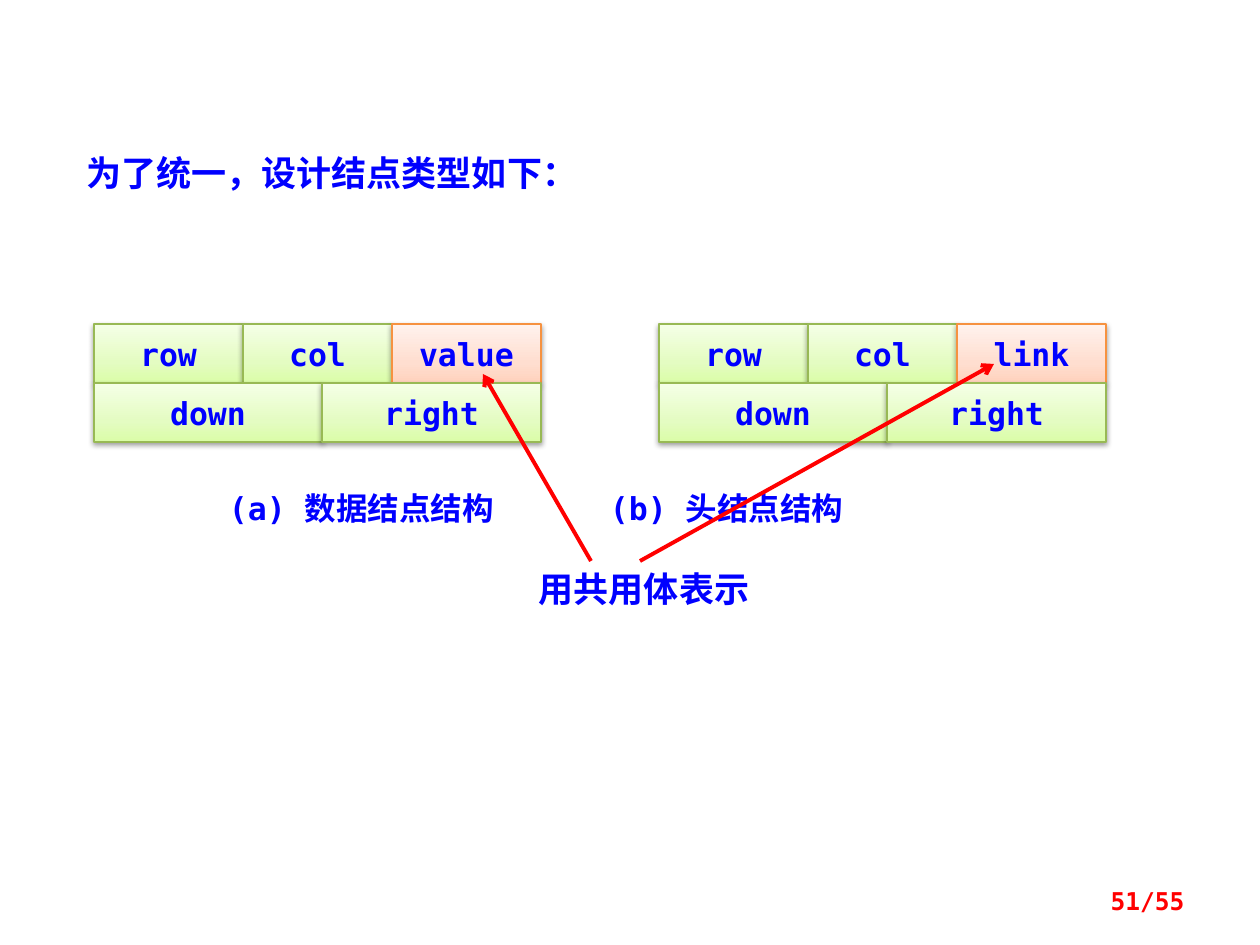
from copy import deepcopy

from lxml.etree import SubElement
from pptx import Presentation
from pptx.dml.color import RGBColor
from pptx.enum.shapes import MSO_CONNECTOR as Connector, MSO_SHAPE as Shape
from pptx.enum.text import MSO_ANCHOR as Anchor, MSO_AUTO_SIZE as AutoSize, PP_ALIGN as Align
from pptx.oxml.ns import qn
from pptx.util import Emu, Pt

BLUE = RGBColor(0x00, 0x00, 0xFF)
RED = RGBColor(0xFF, 0x00, 0x00)
GREEN_LINE = RGBColor(0x98, 0xB9, 0x55)
ORANGE_LINE = RGBColor(0xF6, 0x92, 0x40)
GREENS = [RGBColor(0xDA, 0xFD, 0xA7), RGBColor(0xE4, 0xFC, 0xC2), RGBColor(0xF5, 0xFF, 0xE7)]
ORANGES = [RGBColor(0xFF, 0xD2, 0xBD), RGBColor(0xFF, 0xDE, 0xD0), RGBColor(0xFF, 0xF2, 0xED)]
STOPS = [0, 0.35, 1]
MONO, HAN = "DejaVu Sans Mono", "Noto Sans CJK SC"

HEADING = "为了统一，设计结点类型如下："
CAPTIONS = ["(a) 数据结点结构", "(b) 头结点结构"]
UNION_LABEL = "用共用体表示"
PAGE = "51/55"
NODES = [(94, "value"), (659, "link")]
NODE_TOP, ROW_HEIGHT = 324, 59
ARROWS = [((591, 561), (483, 374)), ((640, 561), (994, 364))]
CAPTION_INSET, CAPTION_TAB = 32, 381


def px(length):
    """Turn pixels into EMU."""
    return Emu(round(length * 914400 / 126))


def style(paragraph, size, latin=MONO, color=BLUE, align=Align.LEFT):
    """Set the bold font and alignment of a paragraph."""
    paragraph.alignment = align
    font = paragraph.font
    font.size, font.bold = Pt(size), True
    font.color.rgb = color
    font.name = latin
    SubElement(paragraph._p.pPr.find(qn("a:defRPr")), qn("a:ea"), typeface=HAN)


def add_text(shapes, box, text):
    """Add a wrapping text box and return its frame."""
    frame = shapes.add_textbox(*map(px, box)).text_frame
    frame.word_wrap = True
    frame.auto_size = AutoSize.SHAPE_TO_FIT_TEXT
    frame.text = text
    return frame


def add_field(shapes, box, name, tints, edge):
    """Add one shaded field of a node."""
    field = shapes.add_shape(Shape.RECTANGLE, *map(px, box))
    field.fill.gradient()
    field.fill.gradient_angle = 90
    stop_list = field._element.spPr.find(".//" + qn("a:gsLst"))
    stop_list.append(deepcopy(stop_list[0]))
    for stop, position, tint in zip(field.fill.gradient_stops, STOPS, tints):
        stop.position = position
        stop.color.rgb = tint
    field.line.color.rgb = edge
    field.line.width = Pt(0.75)
    effects = SubElement(field._element.spPr, qn("a:effectLst"))
    shadow = SubElement(effects, qn("a:outerShdw"), blurRad="40000", dist="20000",
                        dir="5400000", rotWithShape="0")
    black = SubElement(shadow, qn("a:srgbClr"), val="000000")
    SubElement(black, qn("a:alpha"), val="38000")
    frame = field.text_frame
    frame.word_wrap = False
    frame.vertical_anchor = Anchor.MIDDLE
    frame.text = name
    style(frame.paragraphs[0], 18, align=Align.CENTER)


def add_node(shapes, left, last):
    """Add a node as two rows of fields."""
    rows = [[("row", 149), ("col", 149), (last, 149)], [("down", 228), ("right", 219)]]
    for index, row in enumerate(rows):
        x = left
        for name, width in row:
            tints, edge = (ORANGES, ORANGE_LINE) if name == last else (GREENS, GREEN_LINE)
            box = (x, NODE_TOP + index * ROW_HEIGHT, width, ROW_HEIGHT)
            add_field(shapes, box, name, tints, edge)
            x += width


def add_arrow(shapes, start, end):
    """Add a red arrow."""
    arrow = shapes.add_connector(Connector.STRAIGHT, *map(px, start + end))
    arrow.line.color.rgb = RED
    arrow.line.width = Pt(2.25)
    SubElement(arrow.line._get_or_add_ln(), qn("a:tailEnd"), type="arrow")
    SubElement(arrow._element.spPr, qn("a:effectLst"))


def main():
    """Build the slide."""
    deck = Presentation()
    deck.slide_width, deck.slide_height = px(1260), px(945)
    shapes = deck.slides.add_slide(deck.slide_layouts[6]).shapes

    captions = add_text(shapes, (197, 483, 857, 50), "\t".join(CAPTIONS))
    captions.margin_left = px(CAPTION_INSET)
    paragraph = captions.paragraphs[0]
    tabs = SubElement(paragraph._p.get_or_add_pPr(), qn("a:tabLst"))
    SubElement(tabs, qn("a:tab"), pos=str(px(CAPTION_TAB)), algn="l")
    style(paragraph, 18)

    for left, last in NODES:
        add_node(shapes, left, last)

    heading = add_text(shapes, (74, 145, 694, 55), HEADING)
    style(heading.paragraphs[0], 20, HAN)

    union = shapes.add_group_shape().shapes
    for start, end in ARROWS:
        add_arrow(union, start, end)
    label = add_text(union, (501, 561, 286, 55), UNION_LABEL)
    style(label.paragraphs[0], 20, HAN, align=Align.CENTER)

    page = add_text(shapes, (903, 876, 294, 50), PAGE)
    page.auto_size = AutoSize.NONE
    page.vertical_anchor = Anchor.MIDDLE
    style(page.paragraphs[0], 14, color=RED, align=Align.RIGHT)

    deck.save("out.pptx")


if __name__ == "__main__":
    main()
